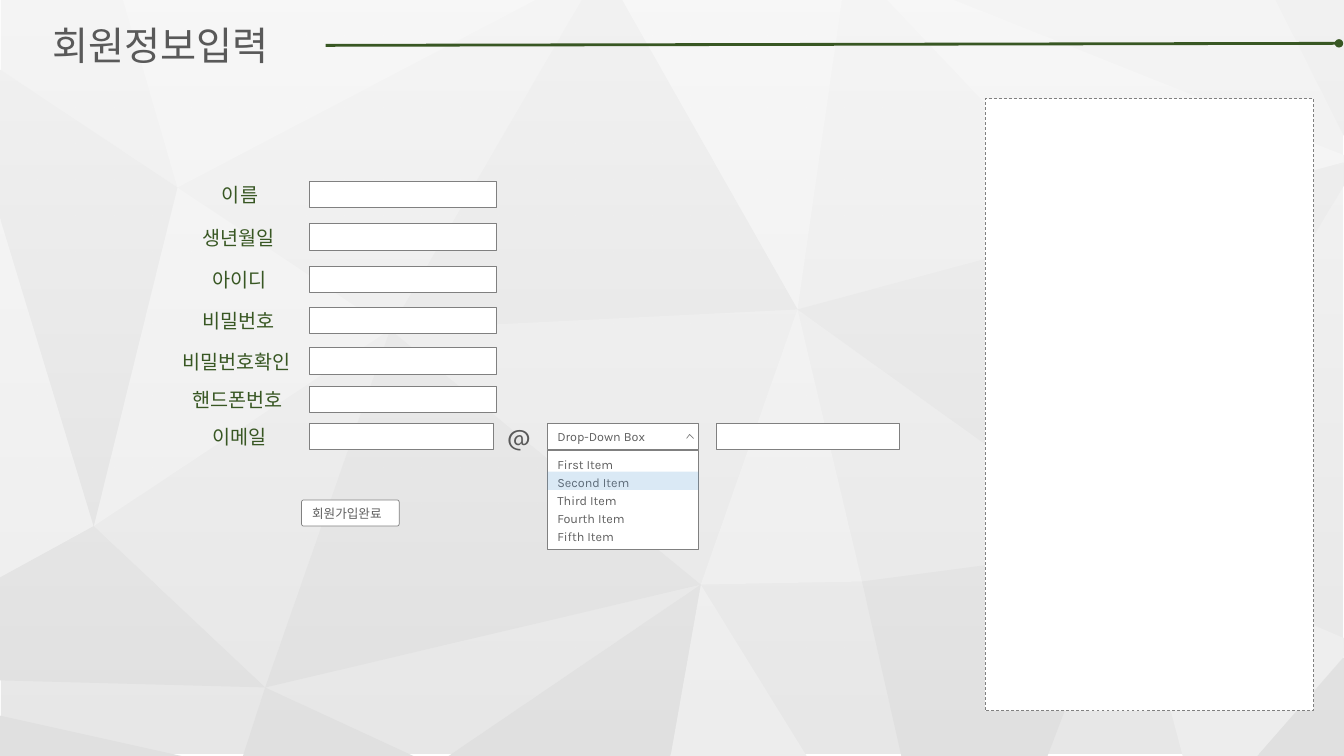
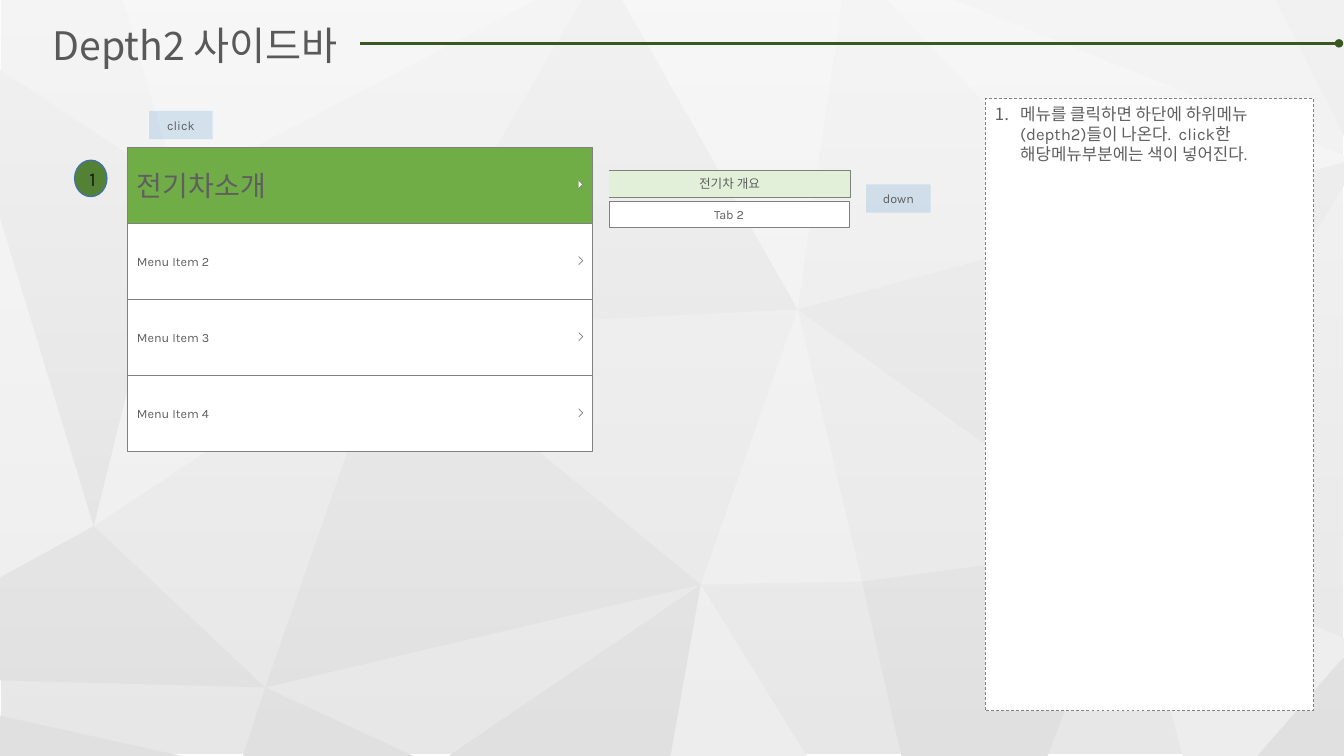
from dataclasses import dataclass

from lxml.etree import SubElement
from pptx import Presentation
from pptx.dml.color import RGBColor
from pptx.enum.dml import MSO_LINE
from pptx.enum.shapes import MSO_CONNECTOR, MSO_SHAPE
from pptx.enum.text import MSO_ANCHOR, MSO_AUTO_SIZE, PP_ALIGN
from pptx.oxml.ns import qn
from pptx.shapes.autoshape import Shape
from pptx.slide import Slide, SlideLayout
from pptx.util import Inches, Pt

KARLA, NOTO = "Karla", "Noto Sans CJK KR"
WHITE, GREY_LINE = "FFFFFF", "808080"
TITLE_GREY, BODY_GREY = "595959", "5F5F5F"
DARK_GREEN, BLUE = "385723", "5B9BD5"
LIGHT_FACET, DARK_FACET = "EDEDED", "E0E0E0"
BLUE_OPACITY = 22
SLIDE_WIDTH, SLIDE_HEIGHT = 13.33, 7.5

Point = tuple[float, float]
Insets = tuple[float, float, float, float]
DEFAULT_INSETS: Insets = (0.1, 0.05, 0.1, 0.05)


@dataclass(frozen=True)
class Box:
    left: float
    top: float
    width: float
    height: float


@dataclass(frozen=True)
class Facet:
    color: str
    points: list[Point]


@dataclass(frozen=True)
class Field:
    label: str
    top: float
    width: float = 1.85


@dataclass(frozen=True)
class MenuItem:
    text: str
    fill: str = WHITE
    font: str = KARLA
    size: float = 9


FACETS = [
    Facet(LIGHT_FACET, [(6.95, 5.8), (6.65, 7.5), (8, 7.5)]),
    Facet(LIGHT_FACET, [(7.91, 3.07), (6.95, 5.8), (8.55, 5.77)]),
    Facet(LIGHT_FACET, [(11.18, 5.42), (11.73, 7.5), (12.47, 7.5), (13.33, 6.51), (13.33, 6.33)]),
    Facet(LIGHT_FACET, [(0, 2.16), (0, 5.73), (0.93, 5.22)]),
    Facet(LIGHT_FACET, [(8.8, 0), (10.94, 2.26), (13.33, 1.61), (13.33, 1.54), (9.46, 0)]),
    Facet(LIGHT_FACET, [(0.93, 5.22), (3.87, 3.27), (1.76, 1.86)]),
    Facet(LIGHT_FACET, [(1.22, 0), (1.76, 1.86), (5.31, 0)]),
    Facet(LIGHT_FACET, [(6.17, 0), (7.91, 3.07), (8.35, 0)]),
    Facet(DARK_FACET, [(0.93, 5.22), (0, 5.73), (0, 6.75), (2.63, 6.82)]),
    Facet(DARK_FACET, [(2.63, 6.82), (2.41, 7.5), (4.1, 7.5)]),
    Facet(DARK_FACET, [(13.33, 6.52), (12.47, 7.5), (13.33, 7.5)]),
    Facet(DARK_FACET, [(0, 7.1), (0, 7.5), (1.8, 7.5)]),
    Facet(DARK_FACET, [(11.18, 5.42), (8.55, 5.77), (8.94, 7.5), (10.39, 7.5)]),
    Facet(DARK_FACET, [(6.95, 5.8), (4.45, 7.5), (6.65, 7.5)]),
    Facet(DARK_FACET, [(13.33, 1.61), (7.91, 3.07), (11.18, 5.42), (13.33, 1.84)]),
    Facet(DARK_FACET, [(6.95, 5.8), (3.87, 3.27), (2.63, 6.82)]),
    Facet(DARK_FACET, [(12.65, 0), (13.33, 1.35), (13.33, 0)]),
    Facet(DARK_FACET, [(0, 0.69), (0, 2.16), (0.93, 5.22), (1.76, 1.86)]),
    Facet(DARK_FACET, [(5.77, 0), (3.87, 3.27), (7.91, 3.07), (6.17, 0)]),
]

FIELDS = [
    Field("이름", 1.8),
    Field("생년월일", 2.22),
    Field("아이디", 2.64),
    Field("비밀번호", 3.05),
    Field("비밀번호확인", 3.45),
    Field("핸드폰번호", 3.83),
    Field("이메일", 4.2, width=1.82),
]

MENU_ITEMS = [
    MenuItem("전기차소개", fill="70AD47", font=NOTO, size=20),
    MenuItem("Menu Item 2"),
    MenuItem("Menu Item 3"),
    MenuItem("Menu Item 4"),
]


def rgb(color: str) -> RGBColor:
    return RGBColor.from_string(color)


def set_opacity(color_node, percent: int) -> None:
    SubElement(color_node, qn("a:alpha")).set("val", str(percent * 1000))


def paint(shape: Shape, fill: str | None = None, line: str | None = None, *,
          opacity: int = 100, weight: float = 0.5, dashed: bool = False) -> Shape:
    shape.shadow.inherit = False
    if fill:
        shape.fill.solid()
        shape.fill.fore_color.rgb = rgb(fill)
        if opacity < 100:
            set_opacity(shape.element.spPr.find(".//" + qn("a:srgbClr")), opacity)
    else:
        shape.fill.background()
    if line:
        shape.line.color.rgb = rgb(line)
        shape.line.width = Pt(weight)
        if dashed:
            shape.line.dash_style = MSO_LINE.DASH
    else:
        shape.line.fill.background()
    return shape


def place(page: Slide, box: Box, kind: MSO_SHAPE = MSO_SHAPE.RECTANGLE) -> Shape:
    return page.shapes.add_shape(kind, Inches(box.left), Inches(box.top),
                                 Inches(box.width), Inches(box.height))


def add_outlined(page: Slide, box: Box, fill: str = WHITE) -> Shape:
    return paint(place(page, box), fill, GREY_LINE)


def add_outline(page: Slide, points: list[Point], *, closed: bool = False) -> Shape:
    corners = [(Inches(x), Inches(y)) for x, y in points]
    builder = page.shapes.build_freeform(*corners[0])
    builder.add_line_segments(corners[1:], close=closed)
    return builder.convert_to_shape()


def write(shape: Shape, text: str, *, size: float = 9, font: str = KARLA, color: str = BODY_GREY,
          align: PP_ALIGN = PP_ALIGN.LEFT, anchor: MSO_ANCHOR = MSO_ANCHOR.MIDDLE,
          insets: Insets = DEFAULT_INSETS, wrap: bool = True, space_after: float = 0,
          numbered: bool = False) -> None:
    """Fill the shape with one paragraph for each line of the text."""
    frame = shape.text_frame
    frame.auto_size = MSO_AUTO_SIZE.NONE
    frame.word_wrap = wrap
    frame.vertical_anchor = anchor
    frame.margin_left, frame.margin_top, frame.margin_right, frame.margin_bottom = map(Inches, insets)
    for index, line in enumerate(text.split("\n")):
        para = frame.add_paragraph() if index else frame.paragraphs[0]
        para.alignment = align
        para.space_after = Pt(space_after)
        if numbered:
            properties = para._p.get_or_add_pPr()
            properties.set("marL", str(Inches(0.25)))
            properties.set("indent", str(-Inches(0.25)))
            SubElement(properties, qn("a:buAutoNum")).set("type", "arabicPeriod")
        span = para.add_run()
        span.text = line
        span.font.size = Pt(size)
        span.font.name = font
        span.font.color.rgb = rgb(color)
        SubElement(span.font._element, qn("a:ea")).set("typeface", NOTO)


def add_label(page: Slide, box: Box, text: str, *, size: float, font: str, color: str) -> None:
    label = page.shapes.add_textbox(Inches(box.left), Inches(box.top),
                                    Inches(box.width), Inches(box.height))
    write(label, text, size=size, font=font, color=color, anchor=MSO_ANCHOR.TOP, wrap=False)


def add_title(page: Slide, text: str, *, width: float, rule_start: Point) -> None:
    """Set the title and draw the dotted-end rule to its right."""
    title = page.shapes.title
    title.left, title.top = Inches(0.42), Inches(0.16)
    title.width, title.height = Inches(width), Inches(0.57)
    write(title, text, size=28, font=NOTO, color=TITLE_GREY, anchor=MSO_ANCHOR.TOP)
    rule = page.shapes.add_connector(MSO_CONNECTOR.STRAIGHT, *map(Inches, rule_start),
                                     Inches(13.28), Inches(0.43))
    rule.line.color.rgb = rgb(DARK_GREEN)
    rule.line.width = Pt(2)
    SubElement(rule.line._get_or_add_ln(), qn("a:tailEnd")).set("type", "oval")
    SubElement(rule.element.spPr, qn("a:effectLst"))


def add_description_panel(page: Slide) -> Shape:
    return paint(place(page, Box(9.77, 0.98, 3.26, 6.07)), WHITE, GREY_LINE, dashed=True)


def add_event_tag(page: Slide, box: Box, text: str) -> None:
    tag = paint(place(page, box), BLUE, opacity=BLUE_OPACITY)
    write(tag, text, align=PP_ALIGN.CENTER)


def move_background_to_layout(page: Slide, layout: SlideLayout) -> None:
    """Draw the faceted backdrop on the page, then hand it to the layout."""
    backdrop = [paint(place(page, Box(0.01, 0, 13.31, 7.48)), "E7E7E7")]
    backdrop += [paint(add_outline(page, facet.points, closed=True), facet.color) for facet in FACETS]
    veil = paint(place(page, Box(0, 0, SLIDE_WIDTH, SLIDE_HEIGHT)), WHITE)
    veil.fill.gradient()
    veil.fill.gradient_angle = 270
    for stop, opacity in zip(veil.fill.gradient_stops, (60, 0)):
        stop.color.rgb = rgb(WHITE)
    for node, opacity in zip(veil.element.spPr.iter(qn("a:srgbClr")), (60, 0)):
        set_opacity(node, opacity)
    tree = layout.shapes.element
    for position, shape in enumerate([*backdrop, veil], start=2):
        tree.insert(position, shape.element)
    for number, node in enumerate(tree.iter(qn("p:cNvPr")), start=1):
        node.set("id", str(number))


def build_sign_up(page: Slide) -> None:
    add_title(page, "회원정보입력", width=2.81, rule_start=(3.23, 0.45))
    add_description_panel(page)
    for field in FIELDS:
        width = 0.2 + 0.197 * len(field.label)
        add_label(page, Box(2.4 - width / 2, field.top - 0.03, width, 0.34), field.label,
                  size=14, font=NOTO, color=DARK_GREEN)
        add_outlined(page, Box(3.07, field.top, field.width, 0.26))

    button = paint(place(page, Box(2.99, 4.96, 0.97, 0.26), MSO_SHAPE.ROUNDED_RECTANGLE),
                   WHITE, GREY_LINE)
    button.adjustments[0] = 0.09
    write(button, "회원가입완료", wrap=False)

    add_label(page, Box(4.93, 4.13, 0.44, 0.4), "@", size=18, font=KARLA, color=TITLE_GREY)
    write(add_outlined(page, Box(5.43, 4.2, 1.5, 0.26)), "Drop-Down Box",
          insets=(0.1, 0.06, 0.28, 0.06))
    paint(add_outline(page, [(6.81, 4.35), (6.84, 4.31), (6.88, 4.35)]), None, GREY_LINE)
    write(add_outlined(page, Box(5.43, 4.47, 1.5, 0.98)),
          "First Item\nSecond Item\nThird Item\nFourth Item\nFifth Item",
          anchor=MSO_ANCHOR.TOP, insets=(0.1, 0.06, 0.1, 0.06), space_after=2)
    paint(place(page, Box(5.43, 4.68, 1.5, 0.18)), BLUE, opacity=BLUE_OPACITY)
    add_outlined(page, Box(7.1, 4.2, 1.82, 0.26))


def build_sidebar(page: Slide) -> None:
    add_title(page, "Depth2 사이드바", width=3.68, rule_start=(3.57, 0.43))
    write(add_description_panel(page),
          "메뉴를 클릭하면 하단에 하위메뉴(depth2)들이 나온다.  click한 해당메뉴부분에는 색이 넣어진다.",
          size=12, anchor=MSO_ANCHOR.TOP, numbered=True)
    marker = paint(place(page, Box(0.74, 1.59, 0.32, 0.36), MSO_SHAPE.OVAL),
                   "548235", "43739E", weight=1)
    write(marker, "1", size=14, color="181717", align=PP_ALIGN.CENTER)

    item_height = 3.02 / len(MENU_ITEMS)
    for index, item in enumerate(MENU_ITEMS):
        top = 1.46 + index * item_height
        row = add_outlined(page, Box(1.26, top, 4.62, item_height), item.fill)
        write(row, item.text, size=item.size, font=item.font, insets=(0.1, 0.05, 0.2, 0.05))
        chevron = [(5.74, top + 0.41), (5.78, top + 0.37), (5.74, top + 0.33)]
        paint(add_outline(page, chevron), WHITE, GREY_LINE)

    active_tab = add_outline(page, [(6.04, 1.69), (8.43, 1.69), (8.43, 1.96), (6.04, 1.96)])
    paint(active_tab, "E2F0D9", GREY_LINE)
    second_tab = add_outlined(page, Box(6.04, 2, 2.38, 0.26))
    for tab, text, font in ((active_tab, "전기차 개요", NOTO), (second_tab, "Tab 2", KARLA)):
        write(tab, text, font=font, align=PP_ALIGN.CENTER, insets=(0.05,) * 4)

    add_event_tag(page, Box(8.59, 1.83, 0.64, 0.28), "down")
    add_event_tag(page, Box(1.48, 1.1, 0.63, 0.28), "click")


def main() -> None:
    deck = Presentation()
    deck.slide_width, deck.slide_height = Inches(SLIDE_WIDTH), Inches(SLIDE_HEIGHT)
    title_only = deck.slide_layouts[5]
    sign_up, sidebar = (deck.slides.add_slide(title_only) for _ in range(2))
    move_background_to_layout(sign_up, title_only)
    build_sign_up(sign_up)
    build_sidebar(sidebar)
    deck.save("out.pptx")


if __name__ == "__main__":
    main()
